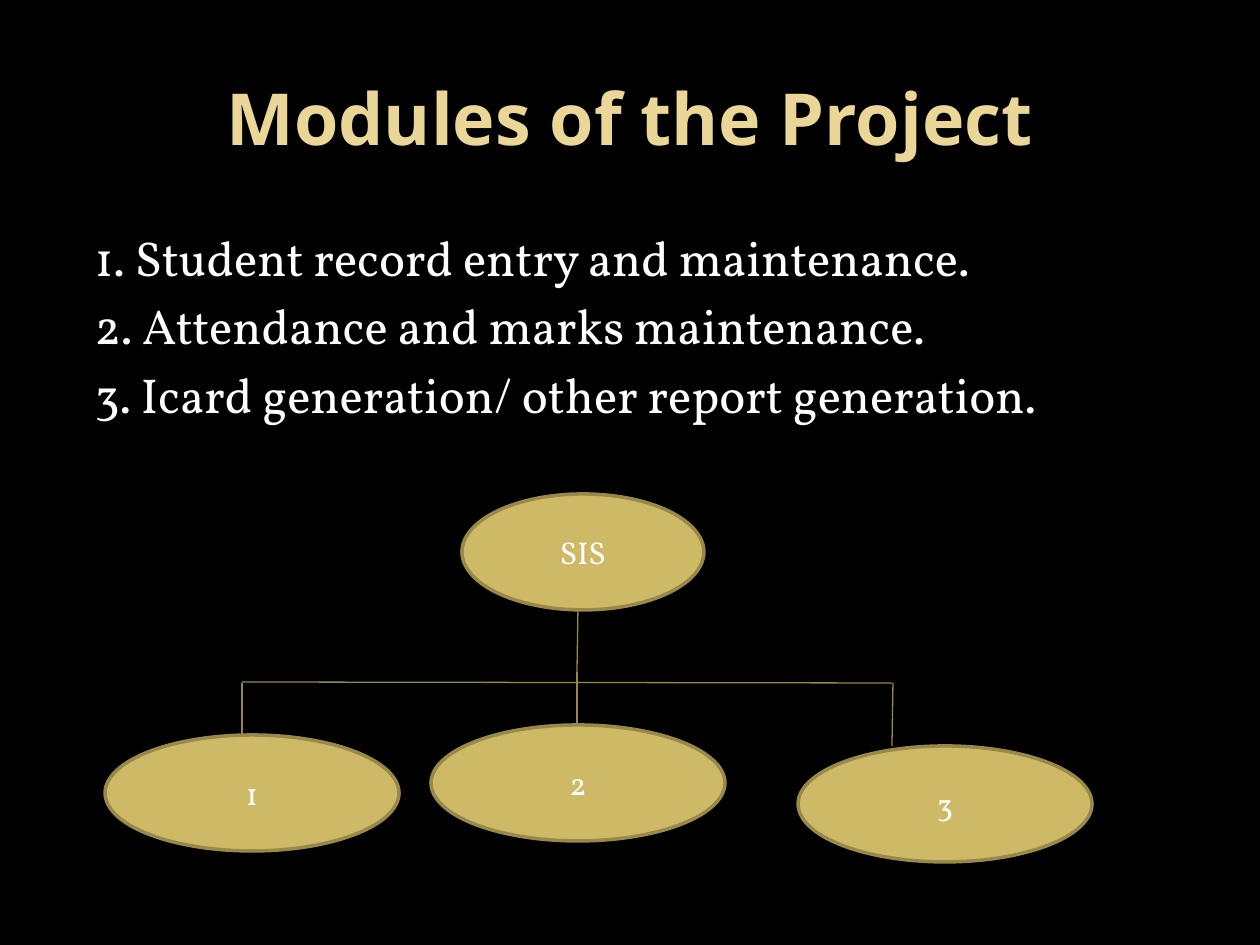
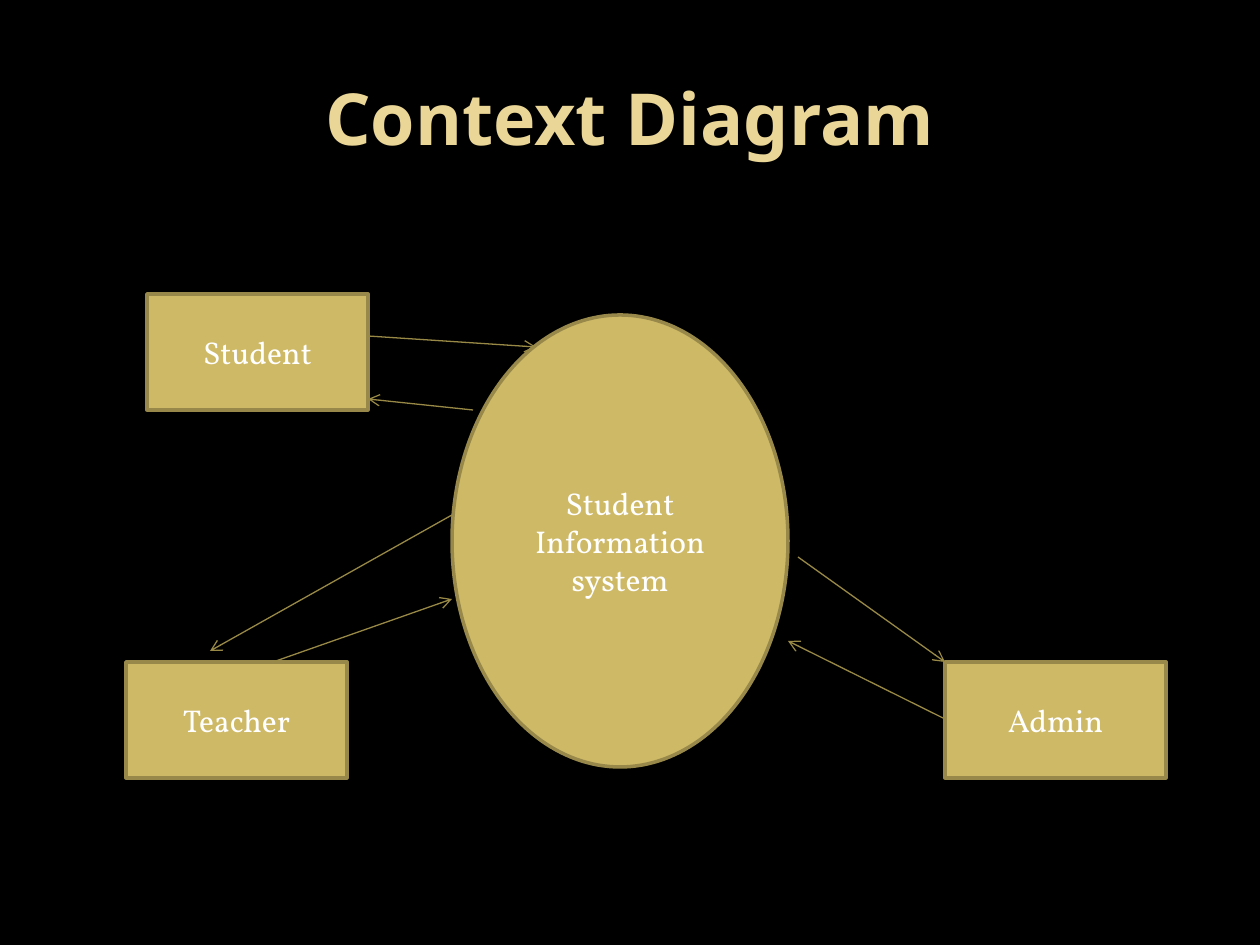
from lxml import etree
from pptx import Presentation
from pptx.dml.color import RGBColor
from pptx.enum.shapes import MSO_CONNECTOR, MSO_SHAPE
from pptx.enum.text import MSO_ANCHOR, MSO_AUTO_SIZE, PP_ALIGN
from pptx.oxml.ns import qn
from pptx.util import Emu, Inches, Pt

BLACK = RGBColor(0x00, 0x00, 0x00)
WHITE = RGBColor(0xFF, 0xFF, 0xFF)
PALE_GOLD = RGBColor(0xEA, 0xD6, 0x96)
GOLD = RGBColor(0xCE, 0xB9, 0x66)
DARK_GOLD = RGBColor(0x98, 0x89, 0x4B)
LINK_GOLD = RGBColor(0x99, 0x89, 0x46)

OVAL, BOX = MSO_SHAPE.OVAL, MSO_SHAPE.RECTANGLE
STRAIGHT = MSO_CONNECTOR.STRAIGHT
MIDDLE, TOP = MSO_ANCHOR.MIDDLE, MSO_ANCHOR.TOP
CENTER, LEFT = PP_ALIGN.CENTER, PP_ALIGN.LEFT
FIXED_SIZE = MSO_AUTO_SIZE.NONE

HEADING_FONT, TEXT_FONT = "Noto Sans", "Vollkorn"
EMU_PER_PIXEL = 914400 / 126
LIST_LAYOUT, TITLE_LAYOUT = 1, 5
NODE_HEIGHT = 116


def px(pixels):
    """Turn pixels into EMU."""
    return Emu(round(pixels * EMU_PER_PIXEL))


class Deck:
    """The shared style and the slide being filled."""

    def __init__(self):
        """Start a black 4:3 presentation."""
        self.prs = Presentation()
        self.prs.slide_width, self.prs.slide_height = Inches(10), Inches(7.5)
        background = self.prs.slide_master.background.fill
        background.solid()
        background.fore_color.rgb = BLACK
        self.slide = None

    def add_text(self, paragraph, text, size, color=WHITE, font=TEXT_FONT,
                 bold=False, align=CENTER):
        """Add one formatted run to a paragraph."""
        paragraph.alignment = align
        run = paragraph.add_run()
        run.text = text
        run.font.name, run.font.size, run.font.bold = font, Pt(size), bold
        run.font.color.rgb = color

    def place(self, holder, left, top, width, height, anchor):
        """Move a placeholder and return its text frame."""
        holder.left, holder.top = px(left), px(top)
        holder.width, holder.height = px(width), px(height)
        frame = holder.text_frame
        frame.word_wrap = True
        frame.auto_size = FIXED_SIZE
        frame.vertical_anchor = anchor
        return frame

    def new_slide(self, title, layout):
        """Add a slide with the shared title style."""
        self.slide = self.prs.slides.add_slide(self.prs.slide_layouts[layout])
        frame = self.place(self.slide.shapes.title, 63, 38, 1134, 158, MIDDLE)
        self.add_text(frame.paragraphs[0], title, 41, PALE_GOLD, HEADING_FONT, True)

    def module_list(self, items):
        """Fill the body placeholder with unbulleted lines."""
        frame = self.place(self.slide.placeholders[1], 63, 221, 1134, 649, TOP)
        for index, item in enumerate(items):
            paragraph = frame.add_paragraph() if index else frame.paragraphs[0]
            self.add_text(paragraph, item, 28, align=LEFT)
            paragraph.space_before = Pt(5.6)
            properties = paragraph._p.get_or_add_pPr()
            properties.set("marL", str(Inches(0.6)))
            properties.set("indent", str(Inches(-0.45)))
            etree.SubElement(properties, qn("a:buNone"))

    def node(self, kind, label, left, top, width, height=NODE_HEIGHT):
        """Draw a labelled gold shape."""
        shape = self.slide.shapes.add_shape(
            kind, px(left), px(top), px(width), px(height))
        shape.shadow.inherit = False
        shape.fill.solid()
        shape.fill.fore_color.rgb = GOLD
        shape.line.color.rgb = DARK_GOLD
        shape.line.width = Pt(2)
        shape.text_frame.word_wrap = True
        shape.text_frame.vertical_anchor = MIDDLE
        self.add_text(shape.text_frame.paragraphs[0], label, 18)

    def link(self, start, end, arrow=False):
        """Draw a thin line, with an arrowhead at its end if asked."""
        connector = self.slide.shapes.add_connector(
            STRAIGHT, *(px(value) for value in (*start, *end)))
        connector.line.color.rgb = LINK_GOLD
        connector.line.width = Pt(0.75)
        properties = connector._element.spPr
        if arrow:
            outline = properties.find(qn("a:ln"))
            etree.SubElement(outline, qn("a:tailEnd"), type="arrow")
        etree.SubElement(properties, qn("a:effectLst"))


def modules_slide(deck):
    """List the modules and show them as a tree."""
    deck.new_slide("Modules of the Project", LIST_LAYOUT)
    deck.module_list([
        "1. Student record entry and maintenance.",
        "2. Attendance and marks maintenance.",
        "3. Icard generation/ other report generation.",
    ])
    deck.node(OVAL, "SIS", 462, 494, 242)
    branches = [
        ((578, 609), (577, 672)),
        ((242, 682), (892, 683)),
        ((242, 683), (242, 735)),
        ((577, 672), (577, 725)),
        ((893, 683), (892, 746)),
    ]
    for start, end in branches:
        deck.link(start, end)
    for label, left, top in [("1", 105, 735), ("2", 431, 725), ("3", 798, 746)]:
        deck.node(OVAL, label, left, top, 294)


def context_slide(deck):
    """Show the system and the users it exchanges data with."""
    deck.new_slide("Context Diagram", TITLE_LAYOUT)
    deck.node(OVAL, "Student Information system", 452, 315, 336, 452)
    users = [("Student", 147, 294), ("Teacher", 126, 662), ("Admin", 945, 662)]
    for label, left, top in users:
        deck.node(BOX, label, left, top, 221)
    flows = [
        ((368, 336), (536, 347)),
        ((273, 662), (452, 599)),
        ((945, 719), (788, 641)),
        ((798, 557), (945, 662)),
        ((452, 515), (210, 651)),
        ((473, 410), (368, 399)),
    ]
    for start, end in flows:
        deck.link(start, end, arrow=True)


deck = Deck()
modules_slide(deck)
context_slide(deck)
deck.prs.save("out.pptx")
